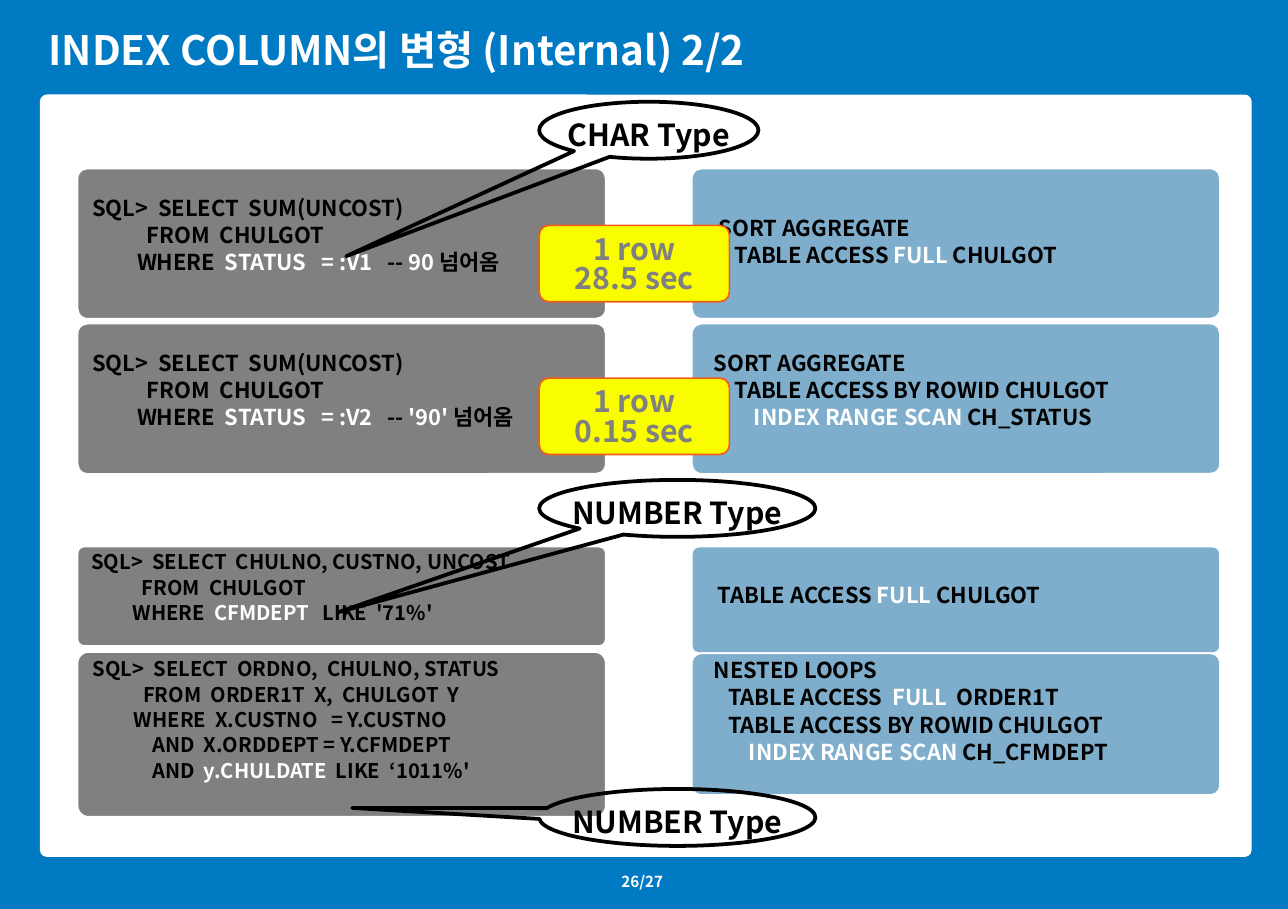
from lxml import etree
from pptx import Presentation
from pptx.dml.color import RGBColor
from pptx.enum.shapes import MSO_SHAPE as SHAPE
from pptx.enum.text import MSO_ANCHOR as ANCHOR, PP_ALIGN as ALIGN
from pptx.oxml.ns import qn
from pptx.util import Inches, Pt

COLORS = {
    "background": "007AC3", "white": "FFFFFF", "black": "000000",
    "sql": "808080", "plan": "005F9A", "timing": "FAFD00",
    "timing_line": "F35B1B",
}
FONT = "Noto Sans CJK KR"
SQL_LEFT, PLAN_LEFT, PANEL_WIDTH = 0.64, 5.71, 4.36
BADGE_LEFT = 4.45

# Text between bars is highlighted in white.
# Statements: top, height, top inset, font size, lines
STATEMENTS = [
    (1.39, 1.24, 0.23, 13, [
        "SQL>  SELECT  SUM(UNCOST)",
        "           FROM  CHULGOT",
        "         WHERE  |STATUS   = :V1   |-- |90 |넘어옴"]),
    (2.67, 1.24, 0.23, 13, [
        "SQL>  SELECT  SUM(UNCOST)",
        "           FROM  CHULGOT",
        "         WHERE  |STATUS   = :V2   |-- |'90' |넘어옴"]),
    (4.51, 0.82, 0.05, 12, [
        "SQL>  SELECT  CHULNO, CUSTNO, UNCOST",
        "           FROM  CHULGOT",
        "         WHERE  |CFMDEPT|   LIKE  '71%'"]),
    (5.38, 1.36, 0.05, 12, [
        "SQL>  SELECT  ORDNO,  CHULNO, STATUS",
        "           FROM  ORDER1T  X,  CHULGOT  Y",
        "         WHERE  X.CUSTNO   = Y.CUSTNO",
        "             AND  X.ORDDEPT = Y.CFMDEPT",
        "             AND  |y.CHULDATE|  LIKE  ‘1011%'"]),
]
# Plans: top, height, top inset, lines, indent of each line
PLANS = [
    (1.39, 1.24, 0.4, ["SORT AGGREGATE", "TABLE ACCESS |FULL| CHULGOT"],
     [0.1, 0.23]),
    (2.67, 1.24, 0.23, ["SORT AGGREGATE", "TABLE ACCESS BY ROWID CHULGOT",
                        "|INDEX RANGE SCAN |CH_STATUS"], [0.06, 0.23, 0.39]),
    (4.51, 0.88, 0.31, ["TABLE ACCESS |FULL| CHULGOT"], [0.1]),
    (5.39, 1.17, 0.05, ["NESTED LOOPS", "TABLE ACCESS  |FULL|  ORDER1T",
                        "TABLE ACCESS BY ROWID CHULGOT",
                        "|INDEX RANGE SCAN |CH_CFMDEPT"],
     [0.06, 0.18, 0.18, 0.35]),
]
TIMINGS = [(1.86, "28.5 sec"), (3.12, "0.15 sec")]
# Callouts: top, width, label, pointer
CALLOUTS = [
    (0.84, 1.81, "CHAR Type", (-1.38, 2.211)),
    (3.96, 2.28, "NUMBER Type", (-1.227, 1.822)),
    (6.51, 2.28, "NUMBER Type", (-1.177, -0.166)),
]


def color(name):
    return RGBColor.from_string(COLORS[name])


def write(shape, lines, size, tint="black", align=ALIGN.LEFT,
          anchor=ANCHOR.TOP, wrap=True, spacing=1.0, gap=0, indents=(),
          top=0.05, bottom=0.05):
    """Fill a shape with lines; bars switch the white highlight on and off."""
    frame = shape.text_frame
    frame.word_wrap = wrap
    frame.vertical_anchor = anchor
    frame.margin_left = frame.margin_right = Inches(0.1)
    frame.margin_top, frame.margin_bottom = Inches(top), Inches(bottom)
    for number, line in enumerate(lines):
        para = frame.add_paragraph() if number else frame.paragraphs[0]
        para.alignment = align
        para.line_spacing = spacing
        para.space_before = Pt(gap if number else 0)
        if indents:
            para._p.get_or_add_pPr().set("marL", str(Inches(indents[number])))
        for part, text in enumerate(line.split("|")):
            if not text:
                continue
            span = para.add_run()
            span.text = text
            font = span.font
            font.name, font.size, font.bold = FONT, Pt(size), True
            font.color.rgb = color("white" if part % 2 else tint)
            east_asian = etree.SubElement(span._r.get_or_add_rPr(), qn("a:ea"))
            east_asian.set("typeface", FONT)


def add_box(page, kind, left, top, width, height, adjustments, fill=None,
            line=None, line_width=1, alpha=None):
    box = page.shapes.add_shape(kind, Inches(left), Inches(top),
                                Inches(width), Inches(height))
    box.shadow.inherit = False
    for number, value in enumerate(adjustments):
        box.adjustments[number] = value
    if fill:
        box.fill.solid()
        box.fill.fore_color.rgb = color(fill)
    else:
        box.fill.background()
    if alpha:
        tone = box.fill._xPr.find(".//" + qn("a:srgbClr"))
        etree.SubElement(tone, qn("a:alpha")).set("val", str(alpha * 1000))
    if line:
        box.line.color.rgb = color(line)
        box.line.width = Pt(line_width)
    else:
        box.line.fill.background()
    return box


def add_frame(page):
    """Background, white content area, title and page number."""
    page.background.fill.solid()
    page.background.fill.fore_color.rgb = color("background")
    add_box(page, SHAPE.ROUNDED_RECTANGLE, 0.33, 0.78, 10, 6.29, [0.009],
            "white")
    title = page.shapes.title
    title.left, title.top = Inches(0.3), Inches(0.11)
    title.width, title.height = Inches(6.5), Inches(0.59)
    write(title, ["INDEX COLUMN의 변형 (Internal) 2/2"], 24, "white",
          anchor=ANCHOR.MIDDLE)
    number = page.shapes.add_textbox(Inches(4.06), Inches(7.2), Inches(2.48),
                                     Inches(0.25))
    write(number, ["26/27"], 9, "white", align=ALIGN.CENTER, top=0, bottom=0)


def add_panel(page, left, top, height, inset, size, lines, fill, alpha=None,
              indents=()):
    panel = add_box(page, SHAPE.ROUNDED_RECTANGLE, left, top, PANEL_WIDTH,
                    height, [0.067], fill, "white", alpha=alpha)
    write(panel, lines, size, spacing=0.8, gap=3.6, indents=indents, top=inset)


def add_timing(page, top, seconds):
    badge = add_box(page, SHAPE.ROUNDED_RECTANGLE, BADGE_LEFT, top, 1.57, 0.63,
                    [0.125], "timing", "timing_line")
    write(badge, ["1 row", seconds], 18, "sql", align=ALIGN.CENTER,
          anchor=ANCHOR.MIDDLE, wrap=False, spacing=0.82, top=0.07,
          bottom=0.03)


def add_callout(page, top, width, label, pointer):
    callout = add_box(page, SHAPE.OVAL_CALLOUT, BADGE_LEFT, top, width, 0.47,
                      pointer, line="black", line_width=2.25)
    write(callout, [label], 18, align=ALIGN.CENTER, anchor=ANCHOR.MIDDLE,
          wrap=False, spacing=1.2)


def main():
    deck = Presentation()
    deck.slide_width, deck.slide_height = Inches(10.63), Inches(7.5)
    page = deck.slides.add_slide(deck.slide_layouts[5])
    add_frame(page)
    for top, height, inset, size, lines in STATEMENTS:
        add_panel(page, SQL_LEFT, top, height, inset, size, lines, "sql")
    for top, height, inset, lines, indents in PLANS:
        add_panel(page, PLAN_LEFT, top, height, inset, 13, lines, "plan",
                  alpha=50, indents=indents)
    for top, seconds in TIMINGS:
        add_timing(page, top, seconds)
    for callout in CALLOUTS:
        add_callout(page, *callout)
    deck.save("out.pptx")


if __name__ == "__main__":
    main()
